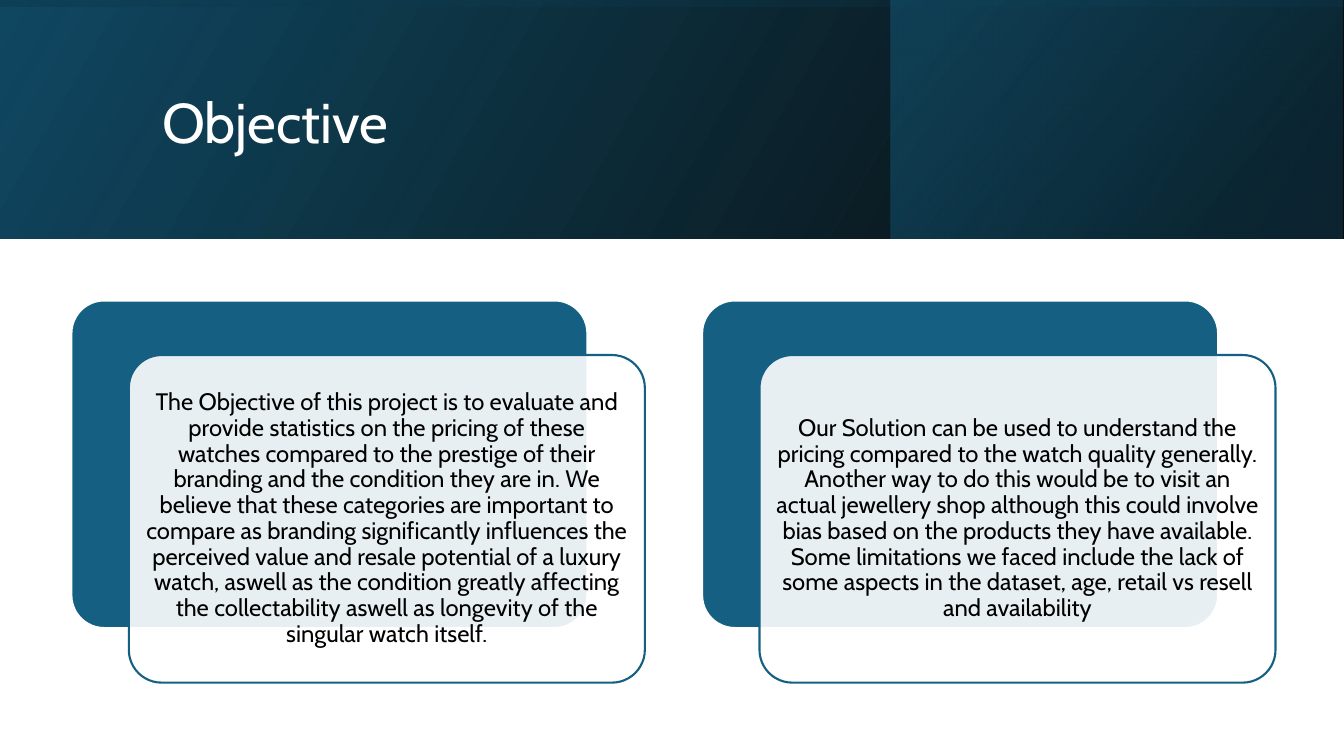
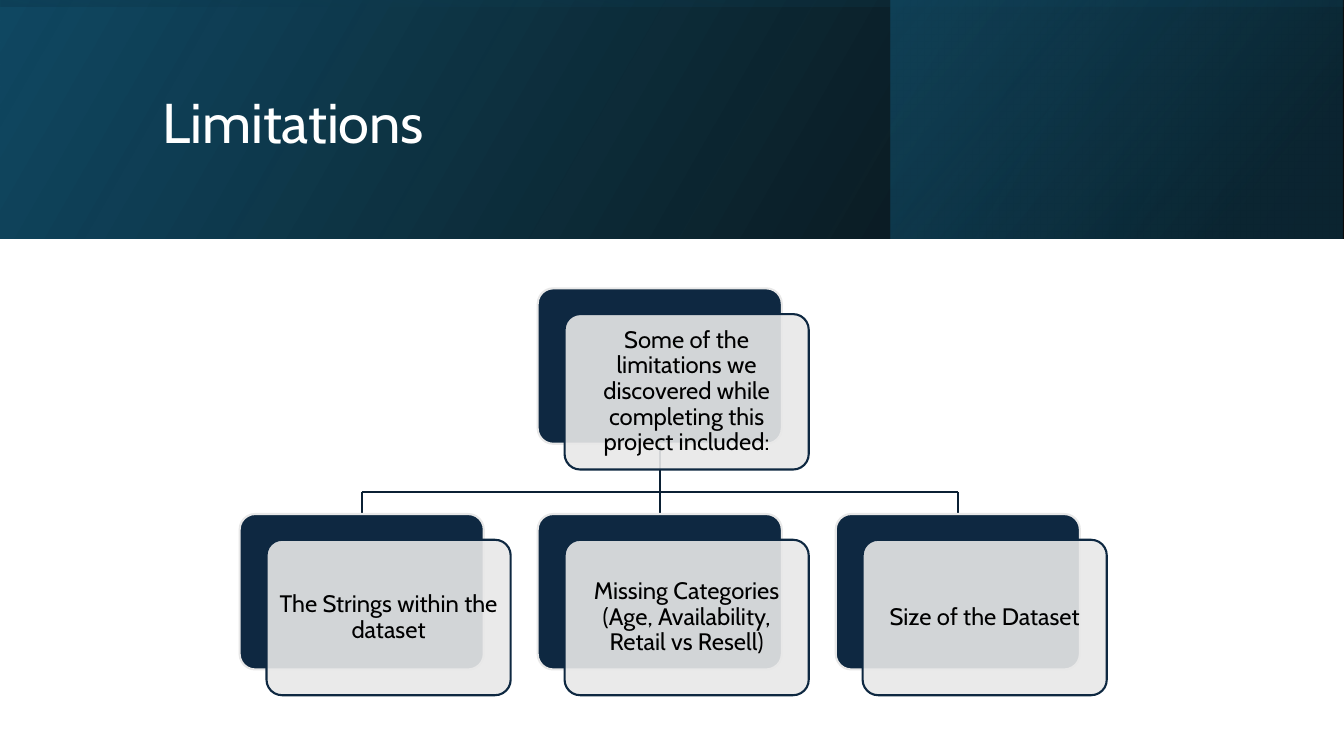
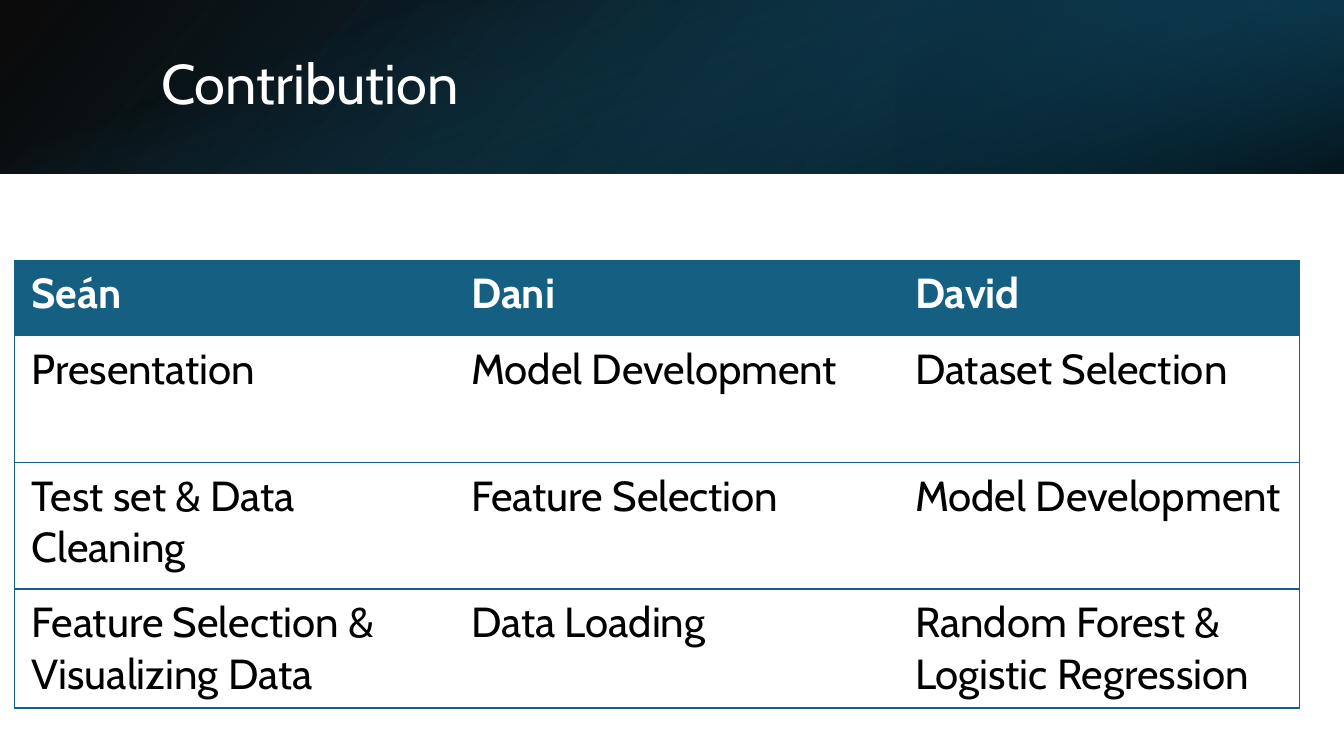
from dataclasses import dataclass

from lxml.etree import SubElement
from pptx import Presentation
from pptx.dml.color import RGBColor
from pptx.enum.shapes import MSO_CONNECTOR, MSO_SHAPE
from pptx.enum.text import MSO_ANCHOR, MSO_AUTO_SIZE, PP_ALIGN
from pptx.oxml.ns import qn
from pptx.util import Pt


@dataclass(frozen=True)
class Theme:
    font: str = "Cabin"
    title_size: int = 40
    table_size: int = 30
    card_size: int = 17
    white: str = "FFFFFF"
    black: str = "000000"
    accent: str = "156082"
    deep: str = "104862"
    shade: str = "0B3041"
    navy: str = "0E2841"
    branch: str = "0B2034"
    pale: str = "E8E8E8"
    outline: float = 1.5


@dataclass(frozen=True)
class Gradient:
    """Two stops of (position, colour, opacity), percentages, with a clockwise angle."""
    start: tuple
    end: tuple
    angle: int


@dataclass(frozen=True)
class BandStyle:
    height: float
    panel_left: float
    panel_width: float
    panel_rotation: int
    overlay_rotation: int
    overlay_flipped: bool
    base: Gradient
    panel: Gradient
    overlay: Gradient


THEME = Theme()
WIDTH, HEIGHT = 960, 540
BASE_STOPS = (0, THEME.black, 96), (100, THEME.deep, 100)
PANEL_START = (19, THEME.shade, 68)

TALL_BAND = BandStyle(
    170.6, 636.5, 322.5, 0, 270, True,
    Gradient(*BASE_STOPS, 330),
    Gradient(PANEL_START, (100, THEME.accent, 48), 320),
    Gradient((23, THEME.deep, 16), (99, THEME.black, 45), 350))
SHORT_BAND = BandStyle(
    124, 640, 320, 180, 90, False,
    Gradient(*BASE_STOPS, 140),
    Gradient(PANEL_START, (100, THEME.accent, 79), 320),
    Gradient((23, THEME.accent, 0), (99, THEME.black, 74), 340))


def color(value):
    return RGBColor.from_string(value)


def set_opacity(shape, *percentages):
    """Apply one opacity to each fill colour; call before the line is coloured."""
    for element, percentage in zip(shape.element.iter(qn("a:srgbClr")), percentages):
        SubElement(element, qn("a:alpha")).set("val", str(percentage * 1000))


class Deck:
    def __init__(self, theme):
        self.theme = theme
        self.presentation = Presentation()
        self.presentation.slide_width = Pt(WIDTH)
        self.presentation.slide_height = Pt(HEIGHT)
        self.slide = None

    def add_slide(self, title, band, title_box):
        self.slide = self.presentation.slides.add_slide(self.presentation.slide_layouts[5])
        self.add_band(band)
        shape = self.slide.shapes.title
        shape.element.getparent().append(shape.element)
        shape.left, shape.top, shape.width, shape.height = map(Pt, title_box)
        frame = shape.text_frame
        frame.auto_size = MSO_AUTO_SIZE.NONE
        self.set_text(frame, title, self.theme.title_size, self.theme.white, PP_ALIGN.LEFT)

    def set_text(self, frame, text, size, text_color, alignment, bold=False, spacing=0.9):
        frame.text = text
        frame.word_wrap = True
        frame.vertical_anchor = MSO_ANCHOR.MIDDLE
        for paragraph in frame.paragraphs:
            paragraph.alignment = alignment
            paragraph.line_spacing = spacing
            for run in paragraph.runs:
                run.font.name = self.theme.font
                run.font.size = Pt(size)
                run.font.bold = bold
                run.font.color.rgb = color(text_color)

    def add_shape(self, kind, box):
        shape = self.slide.shapes.add_shape(kind, *map(Pt, box))
        shape.shadow.inherit = False
        return shape

    def add_gradient(self, box, gradient, rotation=0, flipped=True):
        shape = self.add_shape(MSO_SHAPE.RECTANGLE, box)
        shape.rotation = rotation
        if flipped:
            shape.element.spPr.find(qn("a:xfrm")).set("flipH", "1")
        shape.fill.gradient()
        shape.fill.gradient_angle = 360 - gradient.angle
        stops = gradient.start, gradient.end
        for stop, (position, stop_color, _) in zip(shape.fill.gradient_stops, stops):
            stop.position = position / 100
            stop.color.rgb = color(stop_color)
        set_opacity(shape, *(opacity for _, _, opacity in stops))
        shape.line.fill.background()

    def add_band(self, band):
        self.add_gradient((0, 0, WIDTH, band.height), band.base)
        self.add_gradient((band.panel_left, 0, band.panel_width, band.height),
                          band.panel, band.panel_rotation)
        shift = (WIDTH - band.height) / 2
        self.add_gradient((shift, -shift, band.height, WIDTH), band.overlay,
                          band.overlay_rotation, band.overlay_flipped)

    def add_rounded(self, box, fill, line, opacity=100):
        shape = self.add_shape(MSO_SHAPE.ROUNDED_RECTANGLE, box)
        shape.adjustments[0] = 0.1
        shape.fill.solid()
        shape.fill.fore_color.rgb = color(fill)
        set_opacity(shape, opacity)
        shape.line.color.rgb = color(line)
        shape.line.width = Pt(self.theme.outline)
        return shape

    def add_card(self, box, offset, text, dark, light):
        """Draw a dark plate and a translucent text card shifted over it."""
        left, top, width, height = box
        self.add_rounded(box, dark, light)
        front = (left + offset[0], top + offset[1], width, height)
        frame = self.add_rounded(front, light, dark, 90).text_frame
        frame.margin_left = frame.margin_right = Pt(5)
        frame.margin_top = frame.margin_bottom = Pt(5)
        self.set_text(frame, text, self.theme.card_size, self.theme.black, PP_ALIGN.CENTER)

    def add_line(self, *ends):
        connector = self.slide.shapes.add_connector(MSO_CONNECTOR.STRAIGHT, *map(Pt, ends))
        connector.line.color.rgb = color(self.theme.branch)
        connector.line.width = Pt(self.theme.outline)
        SubElement(connector.element.spPr, qn("a:effectLst"))

    def set_borders(self, cell, visible_sides):
        properties = cell._tc.get_or_add_tcPr()
        for side in "LRTB":
            line = SubElement(properties, qn(f"a:ln{side}"), w=str(Pt(1)))
            if side in visible_sides:
                fill = SubElement(line, qn("a:solidFill"))
                SubElement(fill, qn("a:srgbClr"), val=self.theme.accent)
            else:
                SubElement(line, qn("a:noFill"))

    def add_table(self, left, top, widths, heights, rows):
        table = self.slide.shapes.add_table(
            len(rows), len(widths), Pt(left), Pt(top),
            Pt(sum(widths)), Pt(sum(heights))).table
        table.horz_banding = False
        for column, width in zip(table.columns, widths):
            column.width = Pt(width)
        for row_index, (values, height) in enumerate(zip(rows, heights)):
            table.rows[row_index].height = Pt(height)
            header = row_index == 0
            for column_index, value in enumerate(values):
                cell = table.cell(row_index, column_index)
                sides = "TB"
                if column_index == 0:
                    sides += "L"
                if column_index == len(widths) - 1:
                    sides += "R"
                self.set_borders(cell, sides)
                if header:
                    cell.fill.solid()
                    cell.fill.fore_color.rgb = color(self.theme.accent)
                else:
                    cell.fill.background()
                text_color = self.theme.white if header else self.theme.black
                self.set_text(cell.text_frame, value, self.theme.table_size, text_color,
                              PP_ALIGN.LEFT, header, 1.0)
                cell.margin_left = cell.margin_right = Pt(12)
                cell.margin_top = cell.margin_bottom = Pt(6)
                cell.vertical_anchor = MSO_ANCHOR.TOP


TALL_TITLE = (108.7, 27.4, 765.4, 123.8)


def build_objective(deck):
    deck.add_slide("Objective", TALL_BAND, TALL_TITLE)
    texts = (
        "The Objective of this project is to evaluate and provide statistics on the pricing "
        "of these watches compared to the prestige of their branding and the condition they "
        "are in. We believe that these categories are important to compare as branding "
        "significantly influences the perceived value and resale potential of a luxury watch, "
        "aswell as the condition greatly affecting the collectability aswell as longevity of "
        "the singular watch itself.",
        "Our Solution can be used to understand the pricing compared to the watch quality "
        "generally. Another way to do this would be to visit an actual jewellery shop although "
        "this could involve bias based on the products they have available. Some limitations "
        "we faced include the lack of some aspects in the dataset, age, retail vs resell and "
        "availability",
    )
    for index, text in enumerate(texts):
        deck.add_card((51 + index * 450.5, 214.6, 368.6, 234), (41, 39), text,
                      THEME.accent, THEME.white)


def build_limitations(deck):
    deck.add_slide("Limitations", TALL_BAND, TALL_TITLE)
    width, height, pitch = 174.4, 111, 212.9
    lefts = [171.2 + index * pitch for index in range(3)]
    root_top, child_top, bus = 206, 367.2, 351.4
    centers = [left + width / 2 for left in lefts]

    deck.add_line(centers[1], root_top + height, centers[1], child_top)
    deck.add_line(centers[0], bus, centers[2], bus)
    for center in (centers[0], centers[2]):
        deck.add_line(center, bus, center, child_top)

    cards = (
        (lefts[1], root_top,
         "Some of the limitations we discovered while completing this project included:"),
        (lefts[0], child_top, "The Strings within the dataset"),
        (lefts[1], child_top, "Missing Categories (Age, Availability, Retail vs Resell)"),
        (lefts[2], child_top, "Size of the Dataset"),
    )
    for left, top, text in cards:
        deck.add_card((left, top, width, height), (19.2, 18.4), text,
                      THEME.navy, THEME.pale)


def build_contribution(deck):
    deck.add_slide("Contribution", SHORT_BAND, (108, 27.4, 790.6, 69))
    deck.add_table(10.6, 185.8, (314, 317, 286.5), (54, 90.5, 90.5, 84), (
        ("Seán", "Dani", "David"),
        ("Presentation", "Model Development", "Dataset Selection"),
        ("Test set & Data Cleaning", "Feature Selection", "Model Development"),
        ("Feature Selection & Visualizing Data", "Data Loading",
         "Random Forest & Logistic Regression"),
    ))


def main():
    deck = Deck(THEME)
    build_objective(deck)
    build_limitations(deck)
    build_contribution(deck)
    deck.presentation.save("out.pptx")


if __name__ == "__main__":
    main()
